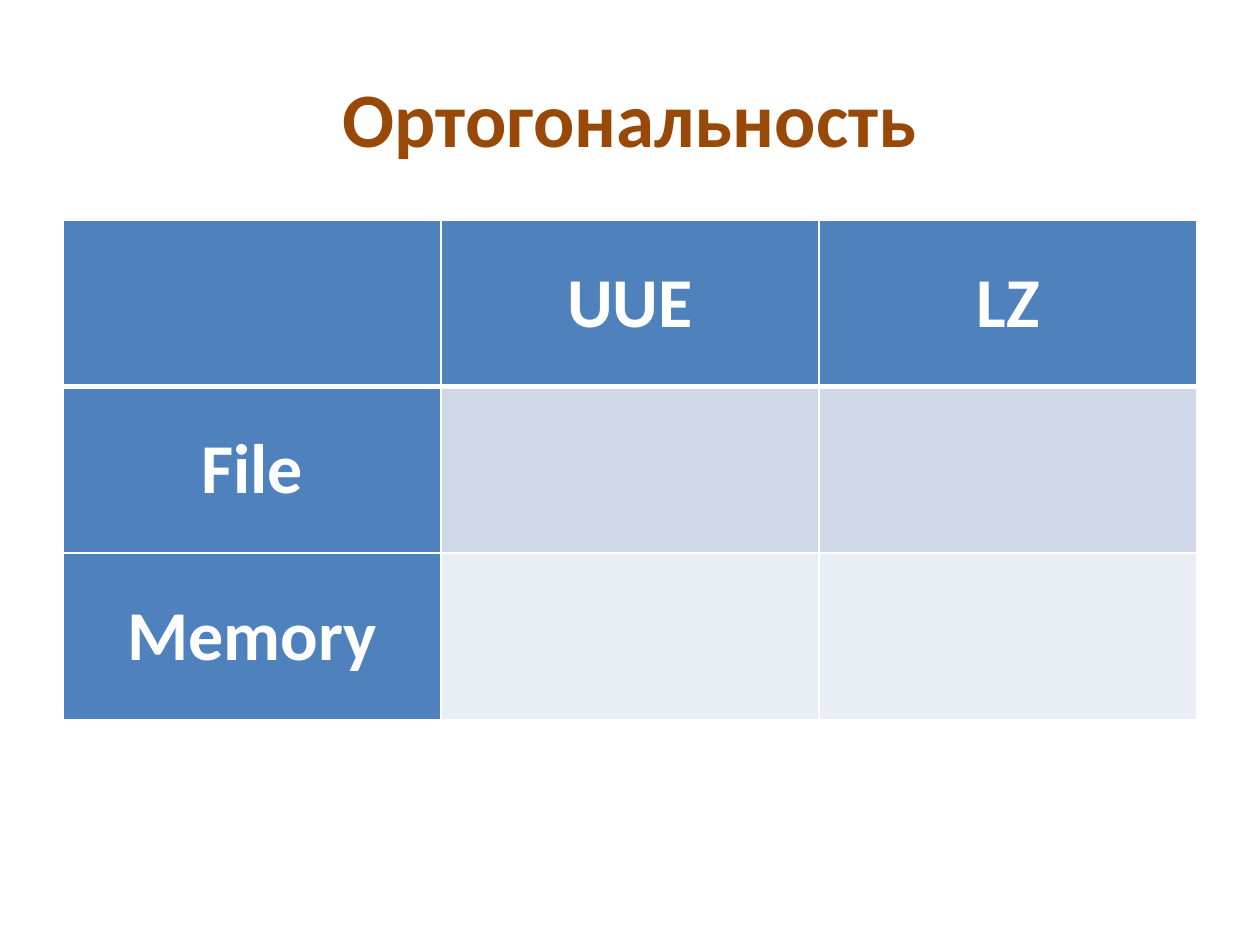
"""Build the orthogonality slide: a title above a three by three table."""
import pptx
import pptx.util
from lxml import etree
from pptx.dml.color import RGBColor
from pptx.enum.text import MSO_ANCHOR, PP_ALIGN
from pptx.oxml.ns import qn
from pptx.util import Inches

TITLE = "Ортогональность"
ROWS = [
    ("", "UUE", "LZ"),
    ("File", "", ""),
    ("Memory", "", ""),
]
FONT = "Calibri"
BROWN, WHITE, BLUE = "984807", "FFFFFF", "4F81BD"
BODY_FILLS = ["D0D8E8", "E9EDF4"]
LEFT, WIDTH = 0.5, 9
TABLE_TOP, ROW_HEIGHT = 1.75, 1.32


def color(value):
    return RGBColor.from_string(value)


def style_paragraph(paragraph, size, font_color):
    paragraph.alignment = PP_ALIGN.CENTER
    paragraph.font.name = FONT
    paragraph.font.size = pptx.util.Pt(size)
    paragraph.font.bold = True
    paragraph.font.color.rgb = color(font_color)


def add_borders(cell, widths):
    properties = cell._tc.get_or_add_tcPr()
    for side, width in widths.items():
        line = etree.SubElement(properties, qn(f"a:ln{side}"), w=str(pptx.util.Pt(width)))
        fill = etree.SubElement(line, qn("a:solidFill"))
        etree.SubElement(fill, qn("a:srgbClr"), val=WHITE)


def add_title(slide):
    shape = slide.shapes.add_textbox(Inches(LEFT), Inches(0.3), Inches(WIDTH), Inches(1.25))
    frame = shape.text_frame
    frame.word_wrap = True
    frame.vertical_anchor = MSO_ANCHOR.MIDDLE
    frame.text = TITLE
    style_paragraph(frame.paragraphs[0], 44, BROWN)


def add_grid(slide):
    shape = slide.shapes.add_table(
        len(ROWS), len(ROWS[0]), Inches(LEFT), Inches(TABLE_TOP),
        Inches(WIDTH), Inches(ROW_HEIGHT * len(ROWS)),
    )
    table = shape.table
    table.first_col = True
    for row, texts in enumerate(ROWS):
        for column, text in enumerate(texts):
            cell = table.cell(row, column)
            top = 3 if row == 1 else 1
            bottom = 3 if row == 0 else 1
            add_borders(cell, {"L": 1, "R": 1, "T": top, "B": bottom})
            is_header = row == 0 or column == 0
            cell.fill.solid()
            cell.fill.fore_color.rgb = color(BLUE if is_header else BODY_FILLS[row - 1])
            cell.vertical_anchor = MSO_ANCHOR.MIDDLE
            if text:
                cell.text = text
                style_paragraph(cell.text_frame.paragraphs[0], 40, WHITE)


def main():
    presentation = pptx.Presentation()
    presentation.slide_width = Inches(10)
    presentation.slide_height = Inches(7.5)
    slide = presentation.slides.add_slide(presentation.slide_layouts[6])
    add_title(slide)
    add_grid(slide)
    presentation.save("out.pptx")


if __name__ == "__main__":
    main()
